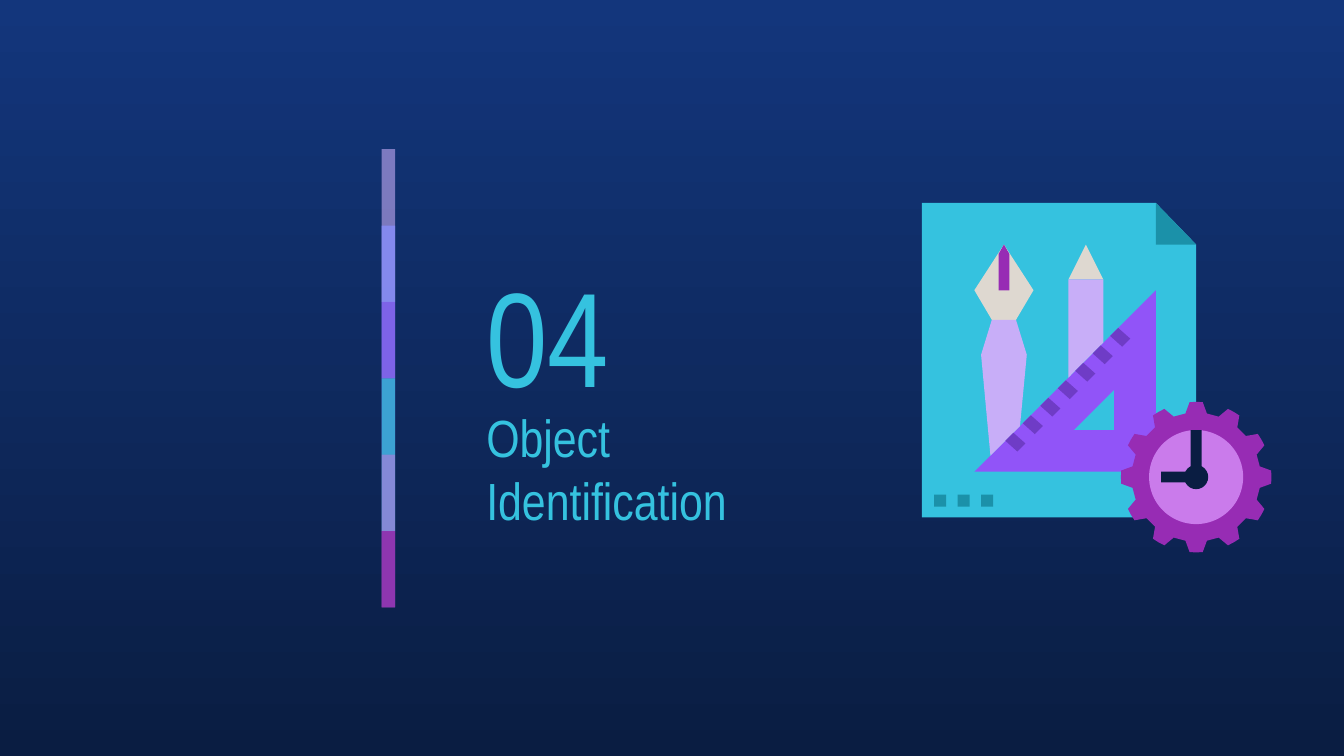
import math

import pptx
import pptx.dml.color
import pptx.enum.shapes
import pptx.enum.text
import pptx.oxml
import pptx.oxml.ns
import pptx.util

Inches = pptx.util.Inches
PRESET = pptx.enum.shapes.MSO_SHAPE
COLORS = {
    "sky": "13367C", "navy": "0A1D42", "cyan": "35C2DF", "teal": "1B91A9",
    "lilac": "C8AEF8", "periwinkle": "878FFF", "violet": "9154F8",
    "orchid": "CA7BEB", "purple": "972CB4", "indigo": "6F3CC6", "sand": "DED8D0",
}


def rgb(color):
    """Return the named palette colour."""
    return pptx.dml.color.RGBColor.from_string(COLORS[color])


def paint(shape, color, opacity=100):
    """Give a shape a flat fill with no line or shadow."""
    shape.shadow.inherit = False
    shape.fill.solid()
    shape.fill.fore_color.rgb = rgb(color)
    shape.line.fill.background()
    if opacity < 100:
        srgb = shape._element.spPr.find(".//" + pptx.oxml.ns.qn("a:srgbClr"))
        alpha = pptx.oxml.parse_xml(
            f'<a:alpha {pptx.oxml.ns.nsdecls("a")} val="{opacity * 1000}"/>')
        srgb.append(alpha)


def add_preset(shapes, preset, left, top, width, height, color, opacity=100):
    """Add a painted preset shape."""
    shape = shapes.add_shape(
        preset, Inches(left), Inches(top), Inches(width), Inches(height))
    paint(shape, color, opacity)


def add_outline(shapes, left, top, color, *contours):
    """Add a painted polygon whose contours are relative to left and top."""
    builder = None
    for contour in contours:
        points = [(Inches(left + x), Inches(top + y)) for x, y in contour]
        if builder is None:
            builder = shapes.build_freeform(*points[0], scale=1.0)
        else:
            builder.move_to(*points[0])
        builder.add_line_segments(points[1:], close=True)
    paint(builder.convert_to_shape(), color)


def add_heading(slide, left, top, width, height, text, size):
    """Add one left-aligned heading, centred vertically in its box."""
    heading = slide.shapes.add_textbox(
        Inches(left), Inches(top), Inches(width), Inches(height))
    frame = heading.text_frame
    frame.word_wrap = True
    frame.vertical_anchor = pptx.enum.text.MSO_ANCHOR.MIDDLE
    frame.margin_left = frame.margin_right = Inches(0.1)
    frame.margin_top = frame.margin_bottom = Inches(0.1)
    run = frame.paragraphs[0].add_run()
    run.text = text
    run.font.name = "Arial Narrow"
    run.font.size = pptx.util.Pt(size)
    run.font.color.rgb = rgb("cyan")


def add_color_strip(slide, left, top, width, height):
    """Stack translucent bands, each reaching under the next one."""
    strip = slide.shapes.add_group_shape().shapes
    bands = [("lilac", 59), ("periwinkle", 74), ("violet", 53),
             ("cyan", 76), ("orchid", 56), ("purple", 74)]
    step = height / len(bands)
    for i, (color, opacity) in enumerate(bands):
        reach = min(2, len(bands) - i)
        add_preset(strip, PRESET.RECTANGLE, left, top + i * step,
                   width, reach * step, color, opacity)


def gear_contour(center, teeth=12):
    """Return the points of a gear around a centre."""
    tooth = [(-9.6, 0.48), (-5, 0.56), (0, 0.56), (5, 0.56), (9.6, 0.48)]
    return [
        (center + radius * math.sin(math.radians(angle + i * 360 / teeth)),
         center - radius * math.cos(math.radians(angle + i * 360 / teeth)))
        for i in range(teeth) for angle, radius in tooth
    ]


def add_design_icon(slide, left, top):
    """Draw a page of drawing tools with a gear clock on its corner."""
    icon = slide.shapes.add_group_shape().shapes
    center = 2.04

    def outline(color, *contours):
        """Add a polygon to the icon."""
        add_outline(icon, left, top, color, *contours)

    def disc(color, radius):
        """Add a disc on the clock's centre."""
        add_preset(icon, PRESET.OVAL, left + center - radius,
                   top + center - radius, 2 * radius, 2 * radius, color)

    page = [(0, 0), (0, 2.34), (2.04, 2.34), (2.04, 0.31), (1.74, 0)]
    fold = [(1.74, 0), (1.74, 0.31), (2.04, 0.31)]
    set_square = [(1.74, 0.65), (0.39, 2), (1.74, 2)]
    cutout = [(1.43, 1.39), (1.43, 1.69), (1.13, 1.69)]
    pencil_tip = [(1.22, 0.31), (1.09, 0.57), (1.35, 0.57)]
    pencil = [(1.09, 0.57), (1.09, 1.3), (1.35, 1.04), (1.35, 0.57)]
    nib = [(0.61, 0.31), (0.39, 0.65), (0.52, 0.87), (0.7, 0.87), (0.83, 0.65)]
    pen = [(0.52, 0.87), (0.44, 1.13), (0.51, 1.88),
           (0.73, 1.66), (0.78, 1.13), (0.7, 0.87)]
    slit = [(0.61, 0.31), (0.57, 0.38), (0.57, 0.65), (0.65, 0.65), (0.65, 0.38)]
    hands = [(2, 1.69), (2, 2), (1.78, 2), (1.78, 2.08), (2.08, 2.08), (2.08, 1.69)]
    tick = [(0.68, 1.71), (0.62, 1.77), (0.71, 1.85), (0.77, 1.79)]

    outline("cyan", page)
    outline("teal", fold)
    outline("violet", cutout, set_square)
    outline("purple", gear_contour(center))
    outline("sand", pencil_tip)
    outline("lilac", pencil)
    outline("sand", nib)
    outline("lilac", pen)
    disc("orchid", 0.35)
    outline("navy", hands)
    disc("navy", 0.09)
    outline("purple", slit)
    for i in range(7):
        outline("indigo", [(x + 0.13 * i, y - 0.13 * i) for x, y in tick])
    for i in range(3):
        add_preset(icon, PRESET.RECTANGLE, left + 0.09 + 0.35 * i / 2,
                   top + 2.17, 0.09, 0.09, "teal")


def add_background(slide):
    """Fill the slide with a gradient from top to bottom."""
    fill = slide.background.fill
    fill.gradient()
    fill.gradient_angle = 270
    for stop, color in zip(fill.gradient_stops, ("sky", "navy")):
        stop.color.rgb = rgb(color)


def main():
    """Build the section slide."""
    deck = pptx.Presentation()
    deck.slide_width, deck.slide_height = Inches(10), Inches(10 * 9 / 16)
    slide = deck.slides.add_slide(deck.slide_layouts[6])
    add_background(slide)
    add_color_strip(slide, 2.84, 1.11, 0.1, 3.41)
    add_heading(slide, 3.52, 1.81, 1.75, 1.35, "04", 72)
    add_heading(slide, 3.52, 3.15, 2.87, 0.67, "Object Identification", 28)
    add_design_icon(slide, 6.86, 1.51)
    deck.save("out.pptx")


if __name__ == "__main__":
    main()
